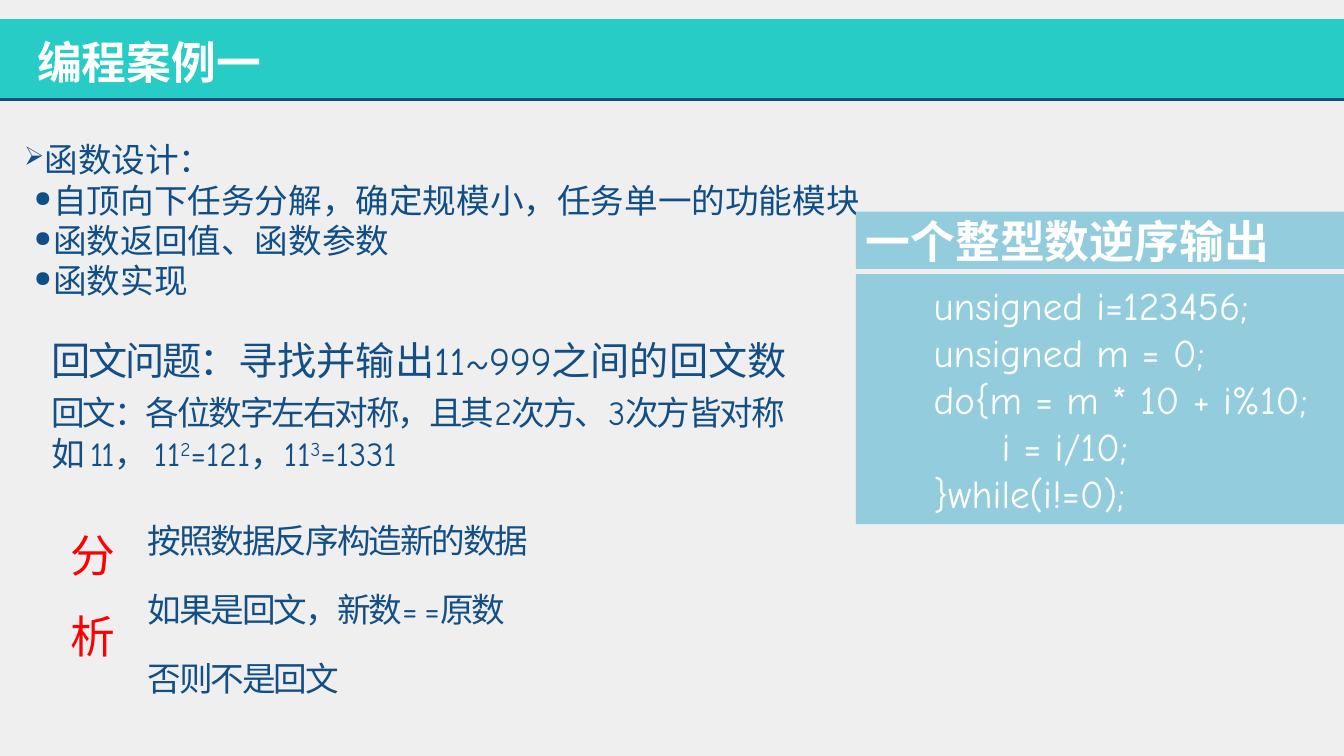
from dataclasses import dataclass
from typing import Optional

from lxml import etree
from pptx import Presentation
from pptx import util as u
from pptx.dml.color import RGBColor
from pptx.enum import shapes, text
from pptx.oxml.ns import qn

Pt = u.Pt
COLORS = {
    "background": "EFEFEF", "banner": "26CCC5", "rule": "104D7E",
    "design": "104E87", "body": "134F85", "alert": "FF0000",
    "panel": "93CDDD", "white": "FFFFFF",
}
CJK, COMIC = "Noto Sans CJK JP", "Comic Neue"
LINE_RATIO = 1.2  # line pitch relative to the text size
TIGHT = -1.5


@dataclass
class Run:
    text: str
    spacing: float = 0
    superscript: bool = False


@dataclass
class Para:
    runs: list[Run]
    size: float
    after: float = 0
    indent: float = 0
    hanging: float = 0
    bullet: str = ""
    bullet_pct: int = 100


@dataclass
class Block:
    box: tuple[float, float, float, float]
    paras: list[Para]
    font: str
    color: str
    bold: bool = False
    lines: Optional[float] = 1
    centred: bool = False
    fill: str = ""


def rgb(name: str) -> RGBColor:
    return RGBColor.from_string(COLORS[name])


def one(words: str, size: float, spacing: float = 0, **options) -> Para:
    return Para([Run(words, spacing)], size, **options)


def add_rect(slide, box: tuple[float, float, float, float], fill: str):
    sp = slide.shapes.add_shape(shapes.MSO_SHAPE.RECTANGLE, *map(Pt, box))
    sp.shadow.inherit = False
    sp.fill.solid()
    sp.fill.fore_color.rgb = rgb(fill)
    sp.line.fill.background()
    return sp


def add_bullet(p, para: Para) -> None:
    pPr = p._p.get_or_add_pPr()
    pPr.set("marL", str(Pt(para.indent)))
    pPr.set("indent", str(-Pt(para.hanging)))
    if para.bullet:
        size = etree.SubElement(pPr, qn("a:buSzPct"))
        size.set("val", str(para.bullet_pct * 1000))
        etree.SubElement(pPr, qn("a:buChar")).set("char", para.bullet)


def add_run(p, run: Run, size: float, block: Block) -> None:
    r = p.add_run()
    r.text = run.text
    r.font.size = Pt(size)
    r.font.bold = block.bold
    r.font.name = block.font
    r.font.color.rgb = rgb(block.color)
    rPr = r._r.get_or_add_rPr()
    etree.SubElement(rPr, qn("a:ea")).set("typeface", CJK)
    if run.spacing:
        rPr.set("spc", str(int(run.spacing * 100)))
    if run.superscript:
        rPr.set("baseline", "30000")


def add_block(slide, block: Block) -> None:
    if block.fill:
        sp = add_rect(slide, block.box, block.fill)
    else:
        sp = slide.shapes.add_textbox(*map(Pt, block.box))
    tf = sp.text_frame
    tf.word_wrap = True
    tf.margin_left = tf.margin_right = Pt(7.2)
    tf.margin_top = Pt(3.6 if block.fill else 6.6)
    tf.margin_bottom = Pt(3.6)
    anchors = text.MSO_ANCHOR
    tf.vertical_anchor = anchors.MIDDLE if block.fill else anchors.TOP
    for i, para in enumerate(block.paras):
        p = tf.add_paragraph() if i else tf.paragraphs[0]
        add_bullet(p, para)
        p.alignment = text.PP_ALIGN.CENTER if block.centred else text.PP_ALIGN.LEFT
        p.space_after = Pt(para.after)
        if block.lines:
            p.line_spacing = Pt(round(para.size * LINE_RATIO * block.lines, 1))
        for run in para.runs:
            add_run(p, run, para.size, block)


def add_rule(slide, y: float, width: float) -> None:
    line = slide.shapes.add_connector(
        shapes.MSO_CONNECTOR.STRAIGHT, 0, Pt(y), Pt(width), Pt(y))
    line.line.color.rgb = rgb("rule")
    line.line.width = Pt(2)
    etree.SubElement(line._element.spPr, qn("a:effectLst"))


# Text content
DESIGN_POINTS = ["自顶向下任务分解，确定规模小，任务单一的功能模块",
                 "函数返回值、函数参数", "函数实现"]
ANALYSIS = ["按照数据反序构造新的数据", "如果是回文，新数= =原数", "否则不是回文"]
CODE = [(1, "unsigned i=123456;"), (1, "unsigned m = 0;"),
        (1, "do{m = m * 10 + i%10;"), (2, "i = i/10;"), (1, "}while(i!=0);")]
TAB = 48.5

title = Block((19.4, 18, 632, 46), [one("编程案例一", 32)], CJK, "white", bold=True)
design = Block(
    (10.1, 92.9, 641.5, 123.8),
    [one("函数设计：", 24, indent=13.7, hanging=13.7, bullet="➢", bullet_pct=77)]
    + [one(point, 24, indent=20.9, hanging=13.7, bullet="●", bullet_pct=66)
       for point in DESIGN_POINTS],
    CJK, "design")
problem = Block(
    (29.5, 234, 612.7, 105.8),
    [Para([Run("回文问题：", TIGHT), Run("寻找并输出11~999之间的回文数")], 28, after=6),
     one("回文：各位数字左右对称，且其2次方、3次方皆对称", 24, TIGHT),
     Para([Run("如 11， ", TIGHT), Run("11"), Run("2", superscript=True),
           Run("=121，11"), Run("3", superscript=True), Run("=1331")], 24)],
    COMIC, "body")
analysis_label = Block((33.8, 351.4, 65.5, 118.8), [one("分析", 32)],
                       COMIC, "alert", lines=1.5, centred=True)
analysis = Block((98.6, 350.6, 324.7, 146.9),
                 [one(step, 24, TIGHT, after=6) for step in ANALYSIS],
                 COMIC, "body", lines=1.5)
code_heading = Block((611.3, 151.2, 348.7, 41), [one("一个整型数逆序输出", 32)],
                     CJK, "white", bold=True, lines=None, fill="panel")
code = Block((611.3, 195.8, 348.7, 178.6),
             [one(line, 28, indent=level * TAB) for level, line in CODE],
             COMIC, "white", lines=None, fill="panel")


def main() -> None:
    prs = Presentation()
    prs.slide_width, prs.slide_height = Pt(960), Pt(540)
    s = prs.slides.add_slide(prs.slide_layouts[6])
    s.background.fill.solid()
    s.background.fill.fore_color.rgb = rgb("background")

    # Title banner
    add_rect(s, (0, 13.7, 960, 57.6), "banner")
    add_rule(s, 71.3, 960)

    # Text blocks and code panel
    for block in (title, design, problem, analysis_label, analysis,
                  code_heading, code):
        add_block(s, block)

    prs.save("out.pptx")


if __name__ == "__main__":
    main()
